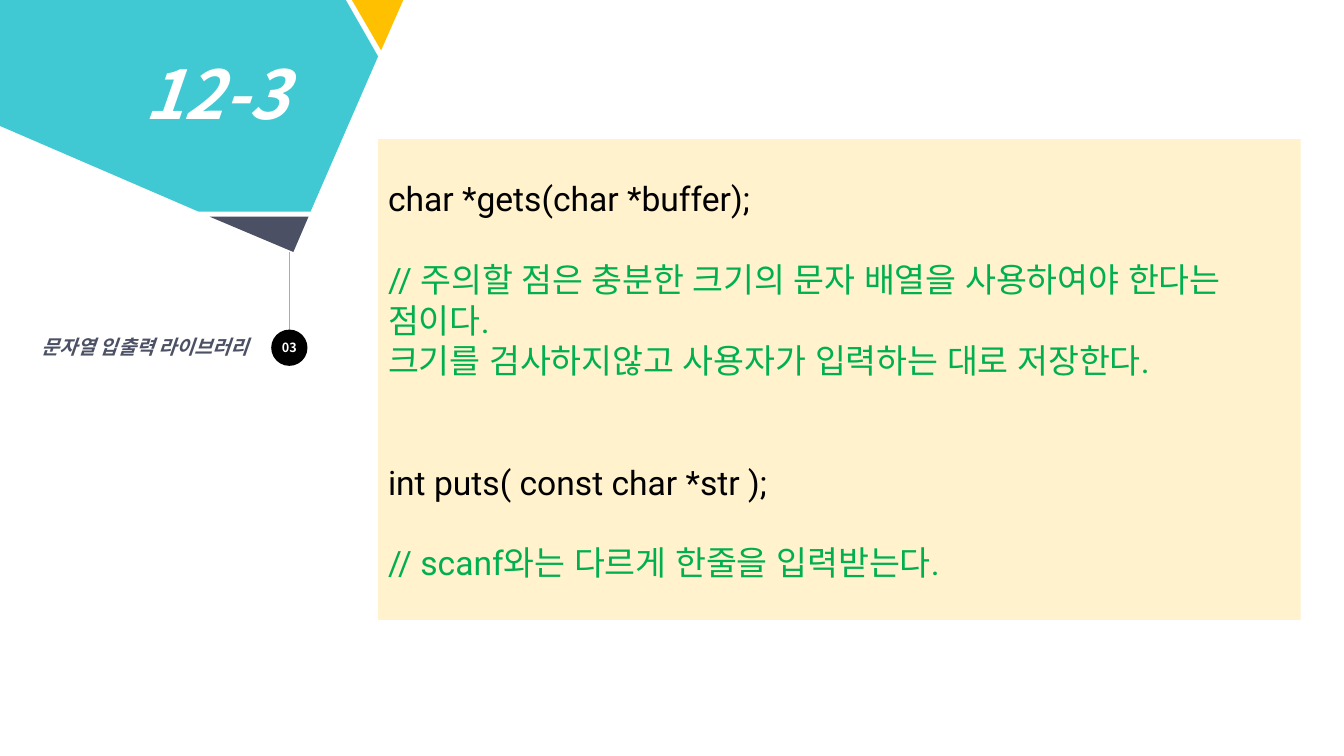
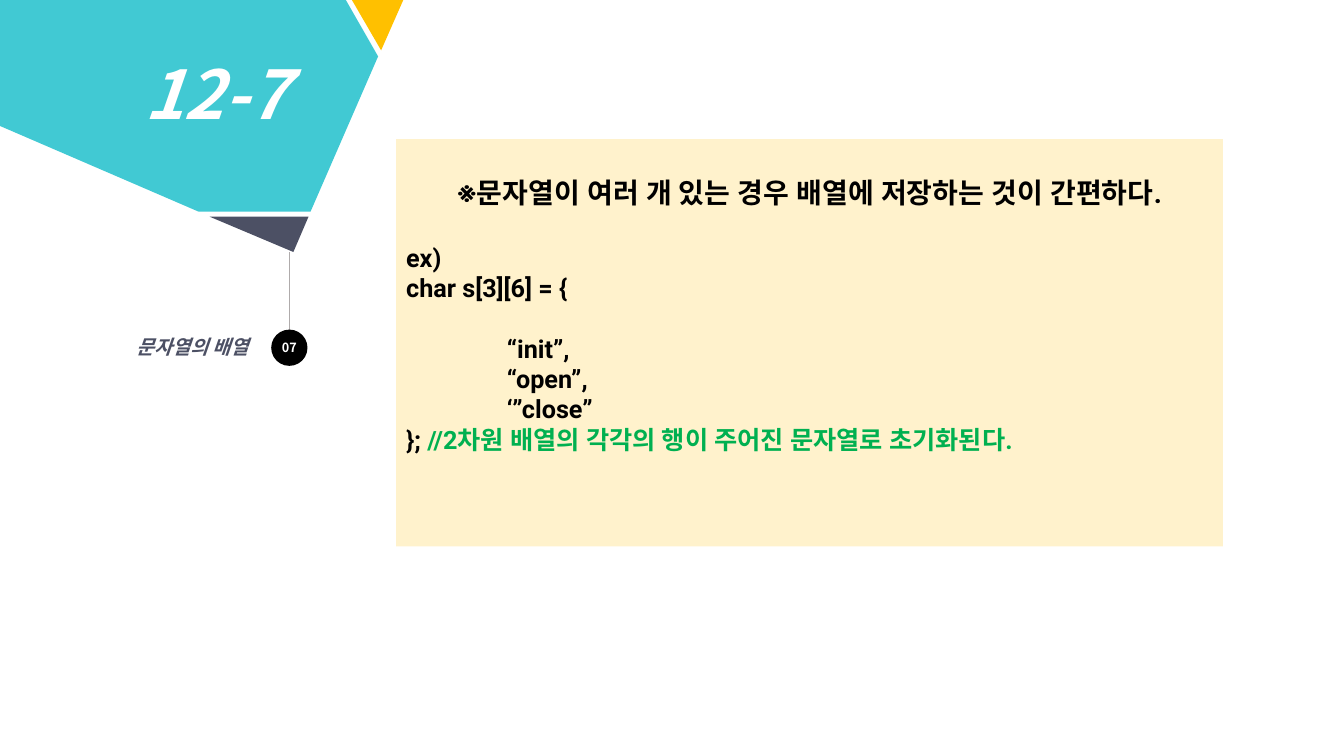
from pptx import Presentation
from pptx.dml.color import RGBColor
from pptx.enum.shapes import MSO_CONNECTOR, MSO_SHAPE
from pptx.enum.text import MSO_ANCHOR, PP_ALIGN
from pptx.oxml.ns import qn
from pptx.util import Inches, Pt
from lxml.etree import SubElement

WHITE = RGBColor(0xFF, 0xFF, 0xFF)
BLACK = RGBColor(0x00, 0x00, 0x00)
CREAM = RGBColor(0xFF, 0xF2, 0xCC)
GREEN = RGBColor(0x00, 0xB0, 0x50)
TEAL = RGBColor(0x41, 0xC9, 0xD3)
AMBER = RGBColor(0xFF, 0xC0, 0x00)
SLATE = RGBColor(0x4C, 0x50, 0x64)
GRAY = RGBColor(0xAF, 0xAB, 0xAB)

HEADING_FONT = "Noto Sans CJK KR"
BODY_FONT = "Roboto"

TITLE = {"name": HEADING_FONT, "size": Pt(48), "bold": True, "italic": True, "color": WHITE}
LABEL = {"name": HEADING_FONT, "size": Pt(14), "bold": True, "italic": True, "color": SLATE}
BADGE = {"name": HEADING_FONT, "size": Pt(9), "bold": True, "color": WHITE}
SYNTAX = {"name": BODY_FONT, "size": Pt(24), "color": BLACK}
REMARK = {**SYNTAX, "color": GREEN}
NOTE = {"name": BODY_FONT, "size": Pt(20), "bold": True, "color": BLACK}
CODE = {**NOTE, "size": Pt(18)}
CODE_REMARK = {**CODE, "color": GREEN}

HEADER_FACETS = [
    (AMBER, [(3.49, 0), (4, 0), (3.78, 0.5)]),
    (TEAL, [(0, 0), (3.43, 0), (3.75, 0.56), (3.08, 2.1), (1.97, 2.1), (0, 1.25)]),
    (SLATE, [(2.08, 2.15), (3.06, 2.15), (2.91, 2.5)]),
]


def box(left, top, width, height):
    return [Inches(value) for value in (left, top, width, height)]


def paint(shape, color):
    shape.shadow.inherit = False
    shape.fill.solid()
    shape.fill.fore_color.rgb = color
    shape.line.fill.background()


def add_run(paragraph, text, style):
    run = paragraph.add_run()
    run.text = text
    for name, value in style.items():
        if name == "color":
            run.font.color.rgb = value
        else:
            setattr(run.font, name, value)
    SubElement(run.font._element, qn("a:ea")).set("typeface", style["name"])


def write(shape, paragraphs, **frame_format):
    frame = shape.text_frame
    for name, value in frame_format.items():
        setattr(frame, name, value)
    for index, (runs, layout) in enumerate(paragraphs):
        paragraph = frame.add_paragraph() if index else frame.paragraphs[0]
        settings = {"alignment": PP_ALIGN.LEFT, **layout}
        indent = settings.pop("indent", None)
        for name, value in settings.items():
            setattr(paragraph, name, value)
        if indent:
            paragraph._p.get_or_add_pPr().set("marL", str(indent))
        for text, style in runs:
            add_run(paragraph, text, style)


def line_of(text, style, **layout):
    return [(text, style)], layout


def add_facet(slide, color, points):
    corners = [(Inches(x), Inches(y)) for x, y in points]
    builder = slide.shapes.build_freeform(*corners[0], scale=1.0)
    builder.add_line_segments(corners[1:], close=True)
    paint(builder.convert_to_shape(), color)


def add_stem(slide):
    stem = slide.shapes.add_connector(MSO_CONNECTOR.STRAIGHT, *box(2.87, 2.5, 2.87, 3.63))
    stem.line.color.rgb = GRAY
    stem.line.width = Pt(0.5)
    SubElement(stem._element.spPr, qn("a:effectLst"))


def add_badge(slide, number):
    badge = slide.shapes.add_shape(MSO_SHAPE.OVAL, *box(2.69, 3.27, 0.36, 0.36))
    paint(badge, BLACK)
    write(badge, [line_of(number, BADGE, alignment=PP_ALIGN.CENTER)],
          margin_left=0, margin_right=0, margin_top=0, margin_bottom=0,
          vertical_anchor=MSO_ANCHOR.MIDDLE)


def add_section_slide(presentation, title, number, label, label_left):
    slide = presentation.slides.add_slide(presentation.slide_layouts[6])
    add_stem(slide)
    for color, points in HEADER_FACETS:
        add_facet(slide, color, points)
    add_badge(slide, number)
    label_box = slide.shapes.add_textbox(*box(label_left, 3.27, 2.57 - label_left, 0.34))
    write(label_box, [line_of(label, LABEL, alignment=PP_ALIGN.RIGHT)], word_wrap=True)
    title_box = slide.shapes.add_textbox(*box(1.33, 0.47, 1.65, 0.91))
    write(title_box, [line_of(title, TITLE)], word_wrap=False)
    return slide


def add_panel(slide, position, top_margin, paragraphs):
    panel = slide.shapes.add_shape(MSO_SHAPE.RECTANGLE, *box(*position))
    paint(panel, CREAM)
    write(panel, paragraphs, word_wrap=True, vertical_anchor=MSO_ANCHOR.TOP,
          margin_left=Inches(0.1), margin_right=Inches(0.1),
          margin_top=Inches(top_margin), margin_bottom=0)


def add_library_slide(presentation):
    slide = add_section_slide(presentation, "12-3", "03", "문자열 입출력 라이브러리", 0)
    gap = Pt(29)
    add_panel(slide, (3.75, 1.38, 9.15, 4.77), 0.39, [
        line_of("char *gets(char *buffer);", SYNTAX),
        line_of("// 주의할 점은 충분한 크기의 문자 배열을 사용하여야 한다는 점이다. ", REMARK,
                space_before=gap),
        line_of("크기를 검사하지않고 사용자가 입력하는 대로 저장한다.", REMARK),
        line_of("int puts( const char *str ); ", SYNTAX, space_before=2 * gap),
        line_of("// scanf와는 다르게 한줄을 입력받는다.", REMARK, space_before=gap),
    ])


def add_array_slide(presentation):
    slide = add_section_slide(presentation, "12-7", "07", "문자열의 배열", 0.16)
    indent = Inches(1)
    add_panel(slide, (3.93, 1.38, 8.2, 4.04), 0.36, [
        line_of("※문자열이 여러 개 있는 경우 배열에 저장하는 것이 간편하다.", NOTE,
                alignment=PP_ALIGN.CENTER),
        line_of("ex)", CODE, space_before=Pt(24)),
        line_of("char s[3][6] = {", CODE),
        line_of("“init”,", CODE, space_before=Pt(21.5), indent=indent),
        line_of("“open”,", CODE, indent=indent),
        line_of("‘”close”", CODE, indent=indent),
        ([("}; ", CODE),
          ("//2차원 배열의 각각의 행이 주어진 문자열로 초기화된다.", CODE_REMARK)], {}),
    ])


def main():
    presentation = Presentation()
    presentation.slide_width = Inches(13.33)
    presentation.slide_height = Inches(7.5)
    add_library_slide(presentation)
    add_array_slide(presentation)
    presentation.save("out.pptx")


main()
